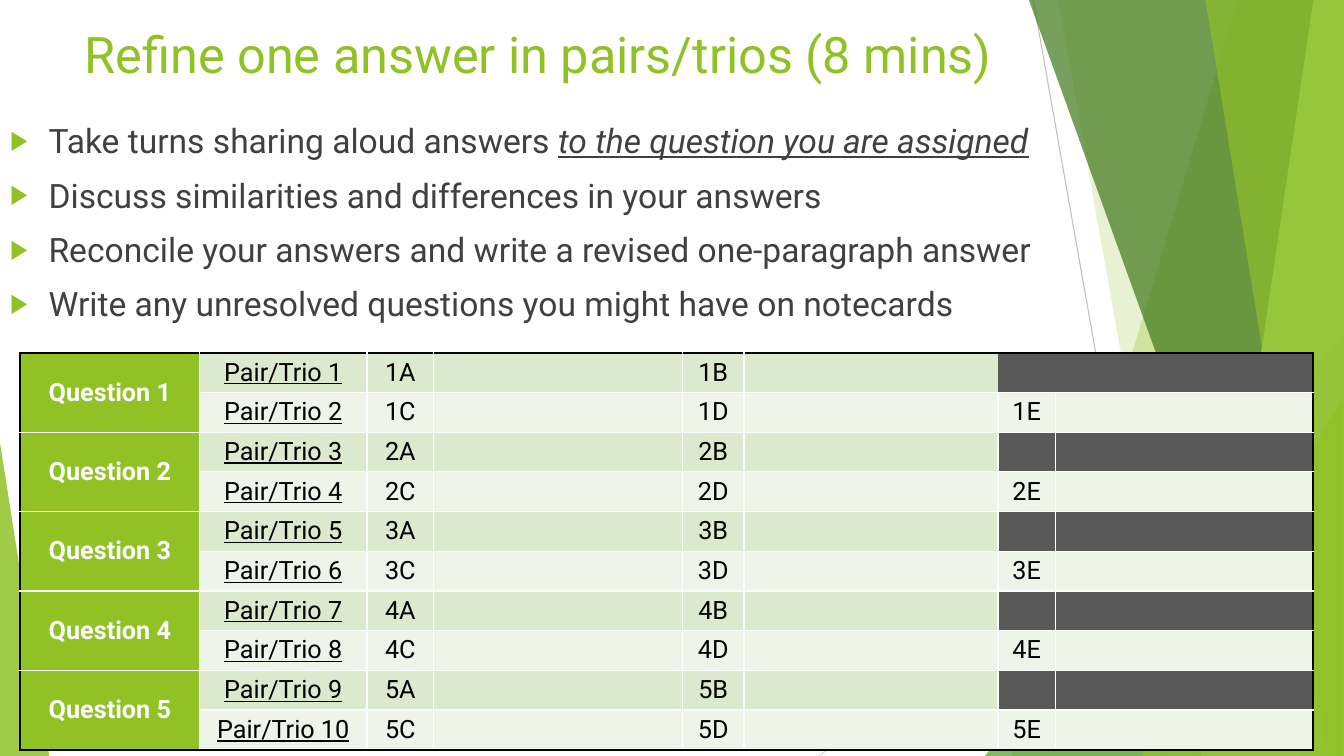
from dataclasses import dataclass

import pptx
import pptx.dml.color
import pptx.enum.shapes
import pptx.enum.text
import pptx.oxml.ns
import pptx.util
from lxml import etree

Cm, Pt = pptx.util.Cm, pptx.util.Pt
MSO_SHAPE = pptx.enum.shapes.MSO_SHAPE
ALIGN, ANCHOR = pptx.enum.text.PP_ALIGN, pptx.enum.text.MSO_ANCHOR
qn = pptx.oxml.ns.qn


@dataclass(frozen=True)
class Theme:
    """Colours, font and type sizes of the slide."""
    font: str = "Roboto"
    title_pt: int = 36
    body_pt: int = 24
    table_pt: int = 18
    green: str = "90C226"
    mid_green: str = "54A021"
    dark_green: str = "3F7819"
    lime: str = "C0E474"
    odd_row: str = "DBE9CD"
    even_row: str = "EEF4E8"
    blocked: str = "595959"
    text: str = "404040"
    black: str = "000000"
    white: str = "FFFFFF"


THEME = Theme()
WIDTH, HEIGHT = 33.87, 19.05

TITLE = "Refine one answer in pairs/trios (8 mins)"
STEPS = [
    ("Take turns sharing aloud answers ", "to the question you are assigned"),
    ("Discuss similarities and differences in your answers", ""),
    ("Reconcile your answers and write a revised one-paragraph answer", ""),
    ("Write any unresolved questions you might have on notecards", ""),
]
QUESTIONS = 5
PAIR_SEATS = [("A", "B", ""), ("C", "D", "E")]

# Lengths in centimetres
TITLE_BOX = (1.88, 0.43, 23.88, 1.85)
STEPS_BOX = (0, 2.9, 26.7, 5.84)
TABLE_CORNER = (0.51, 8.89)
COLUMNS = [4.52, 4.22, 1.68, 6.27, 1.55, 6.4, 1.45, 6.5]
ROW_HEIGHT = 1.0
BULLET_INDENT = 0.97

# Start, end, colour
HAIRLINES = [
    ((26.04, 0), (29.41, HEIGHT), "BFBFBF"),
    ((WIDTH, 10.24), (20.62, HEIGHT), "D9D9D9"),
]
# A band has top and bottom x of its left edge and runs to the right side;
# a triangle has left, top, width and the side of its apex.
FACETS = [
    ("band", (31.19, 25.5), THEME.green, 30),
    ("band", (26.67, 30.05), THEME.green, 20),
    ("triangle", (24.82, 8.46, 9.04, 1), THEME.mid_green, 72),
    ("band", (25.93, 32.79), THEME.dark_green, 70),
    ("band", (33.1, 30.28), THEME.lime, 70),
    ("band", (30.38, 33.48), THEME.green, 65),
    ("triangle", (28.8, 9.98, 5.05, 1), THEME.green, 80),
    ("triangle", (0, 11.15, 1.24, 0), THEME.green, 85),
]


def rgb(colour):
    """Turn a hex string into a colour."""
    return pptx.dml.color.RGBColor.from_string(colour)


def style(paragraph, size, colour, bold=False):
    """Set the font of a whole paragraph."""
    font = paragraph.font
    font.name, font.size, font.bold = THEME.font, Pt(size), bold
    font.color.rgb = rgb(colour)


def add_hairline(shapes, start, end, colour):
    """Draw one thin line without a shadow."""
    line = shapes.add_connector(
        pptx.enum.shapes.MSO_CONNECTOR.STRAIGHT,
        *(Cm(value) for value in start + end))
    line.line.color.rgb = rgb(colour)
    line.line.width = Pt(0.75)
    etree.SubElement(line.element.spPr, qn("a:effectLst"))


def add_facet(shapes, kind, place, colour, opacity):
    """Draw one translucent band or triangle."""
    if kind == "band":
        top_x, bottom_x = place
        outline = shapes.build_freeform(Cm(top_x), 0, scale=1.0)
        corners = [(WIDTH, 0), (WIDTH, HEIGHT), (bottom_x, HEIGHT)]
        outline.add_line_segments([(Cm(x), Cm(y)) for x, y in corners])
        facet = outline.convert_to_shape()
    else:
        left, top, width, apex = place
        facet = shapes.add_shape(MSO_SHAPE.ISOSCELES_TRIANGLE, Cm(left), Cm(top),
                                 Cm(width), Cm(HEIGHT - top))
        facet.adjustments[0] = apex
    facet.shadow.inherit = False
    facet.line.fill.background()
    facet.fill.solid()
    facet.fill.fore_color.rgb = rgb(colour)
    tint = facet.element.spPr.find(qn("a:solidFill")).find(qn("a:srgbClr"))
    etree.SubElement(tint, qn("a:alpha"), val=str(opacity * 1000))


def place_text(placeholder, box, anchor):
    """Move a placeholder to the front and into its box."""
    (placeholder.left, placeholder.top,
     placeholder.width, placeholder.height) = map(Cm, box)
    frame = placeholder.text_frame
    frame.word_wrap = True
    frame.auto_size = pptx.enum.text.MSO_AUTO_SIZE.NONE
    frame.vertical_anchor = anchor
    placeholder.element.getparent().append(placeholder.element)
    return frame


def add_bullet(paragraph):
    """Give a paragraph a green arrowhead bullet and hanging indent."""
    properties = paragraph._p.get_or_add_pPr()
    properties.set("marL", str(Cm(BULLET_INDENT)))
    properties.set("indent", str(-Cm(BULLET_INDENT)))
    colour = etree.SubElement(properties, qn("a:buClr"))
    etree.SubElement(colour, qn("a:srgbClr"), val=THEME.green)
    etree.SubElement(properties, qn("a:buSzPct"), val="80000")
    etree.SubElement(properties, qn("a:buFont"), typeface="Arial")
    etree.SubElement(properties, qn("a:buChar"), char="\u25b6")


def fill_steps(frame):
    """Write the bulleted steps, with the emphasis at the end of a step."""
    for index, (plain, stressed) in enumerate(STEPS):
        step = frame.add_paragraph() if index else frame.paragraphs[0]
        step.space_before = Pt(10)
        add_bullet(step)
        style(step, THEME.body_pt, THEME.text)
        step.add_run().text = plain
        if stressed:
            emphasis = step.add_run()
            emphasis.text = stressed
            emphasis.font.italic = emphasis.font.underline = True


def set_borders(cell, row, column, rows):
    """Black outer edge, white grid; the first blocked pair stays undivided."""
    row_span = 2 if column == 0 else 1
    outer = {"L": column == 0, "R": column == len(COLUMNS) - 1,
             "T": row == 0, "B": row + row_span >= rows}
    undivided = {(0, 5): "R", (0, 6): "LR", (0, 7): "L"}.get((row, column), "")
    properties = cell._tc.get_or_add_tcPr()
    for side, is_outer in outer.items():
        edge = etree.SubElement(properties, qn("a:ln" + side),
                                w=str(Pt(1.5 if is_outer else 1)))
        if side in undivided:
            etree.SubElement(edge, qn("a:noFill"))
            continue
        paint = etree.SubElement(edge, qn("a:solidFill"))
        etree.SubElement(paint, qn("a:srgbClr"),
                         val=THEME.black if is_outer else THEME.white)


def add_assignments(shapes):
    """Build the table of questions, pairs and seats."""
    rows = QUESTIONS * len(PAIR_SEATS)
    table = shapes.add_table(rows, len(COLUMNS), *map(Cm, TABLE_CORNER),
                             Cm(sum(COLUMNS)), Cm(ROW_HEIGHT * rows)).table
    table.first_row = table.horz_banding = False
    for column, width in zip(table.columns, COLUMNS):
        column.width = Cm(width)
    for row in range(rows):
        question, half = row // 2 + 1, row % 2
        table.rows[row].height = Cm(ROW_HEIGHT)
        labels = ["" if half else f"Question {question}", f"Pair/Trio {row + 1}"]
        for seat in PAIR_SEATS[half]:
            labels += [f"{question}{seat}" if seat else "", ""]
        for column, label in enumerate(labels):
            cell = table.cell(row, column)
            heading = column == 0
            blocked = column >= 6 and not half
            band = THEME.even_row if half else THEME.odd_row
            set_borders(cell, row, column, rows)
            cell.fill.solid()
            cell.fill.fore_color.rgb = rgb(
                THEME.green if heading else THEME.blocked if blocked else band)
            cell.vertical_anchor = ANCHOR.MIDDLE if heading else ANCHOR.TOP
            cell.text = label
            entry = cell.text_frame.paragraphs[0]
            entry.alignment = ALIGN.CENTER
            style(entry, THEME.table_pt,
                  THEME.white if heading else THEME.black, heading)
            entry.font.underline = column == 1
        if half:
            table.cell(row - 1, 0).merge(table.cell(row, 0))


deck = pptx.Presentation()
deck.slide_width, deck.slide_height = Cm(WIDTH), Cm(HEIGHT)
slide = deck.slides.add_slide(deck.slide_layouts[1])
for hairline in HAIRLINES:
    add_hairline(slide.shapes, *hairline)
for facet_entry in FACETS:
    add_facet(slide.shapes, *facet_entry)

title_frame = place_text(slide.shapes.title, TITLE_BOX, ANCHOR.MIDDLE)
title_frame.text = TITLE
title_frame.paragraphs[0].alignment = ALIGN.LEFT
style(title_frame.paragraphs[0], THEME.title_pt, THEME.green)
fill_steps(place_text(slide.placeholders[1], STEPS_BOX, ANCHOR.TOP))
add_assignments(slide.shapes)
deck.save("out.pptx")
